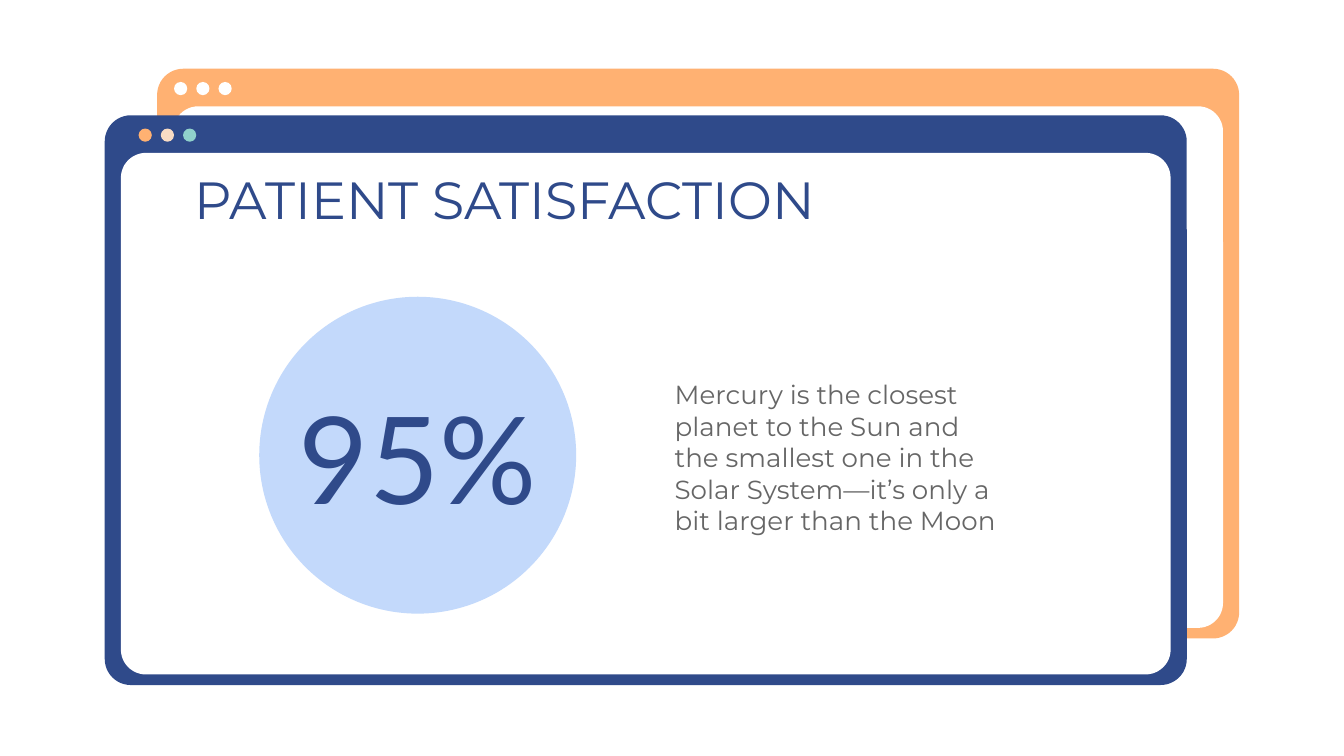
from dataclasses import dataclass

from lxml import etree
from pptx import Presentation
from pptx.dml.color import RGBColor
from pptx.enum.shapes import MSO_SHAPE
from pptx.enum.text import MSO_ANCHOR, MSO_AUTO_SIZE, PP_ALIGN
from pptx.oxml.ns import qn
from pptx.util import Cm, Pt

ROUND_RECT, OVAL = MSO_SHAPE.ROUNDED_RECTANGLE, MSO_SHAPE.OVAL
TOP, MIDDLE = MSO_ANCHOR.TOP, MSO_ANCHOR.MIDDLE
LEFT, CENTER = PP_ALIGN.LEFT, PP_ALIGN.CENTER
NO_AUTOFIT = MSO_AUTO_SIZE.NONE


@dataclass(frozen=True)
class Theme:
    white: str = "FFFFFF"
    navy: str = "2F4A8A"
    orange: str = "FFB172"
    peach: str = "F8DBC4"
    teal: str = "90D1CB"
    sky: str = "C3D9FB"
    grey: str = "666666"
    text_font: str = "Montserrat"
    number_font: str = "Lato"
    title_size: int = 28
    number_size: int = 65
    body_size: int = 14


@dataclass(frozen=True)
class Box:
    x: float
    y: float
    w: float
    h: float


@dataclass(frozen=True)
class Window:
    x: float
    y: float
    frame: str
    dot_offset: float
    dots: tuple[str, ...]


@dataclass(frozen=True)
class TextStyle:
    font: str
    size: int
    color: str
    align: PP_ALIGN = LEFT
    anchor: MSO_ANCHOR = TOP


THEME = Theme()
FRAME_W, FRAME_H = 20.45, 10.77
PANE_W, PANE_H = 19.84, 9.86
PANE_TOP = 0.71
DOT_SIZE, DOT_PITCH, DOT_TOP = 0.25, 0.42, 0.25

WINDOWS = (
    Window(2.97, 1.3, THEME.orange, 0.32, (THEME.white,) * 3),
    Window(1.98, 2.18, THEME.navy, 0.64, (THEME.orange, THEME.peach, THEME.teal)),
)
TEXTS = (
    ("PATIENT SATISFACTION", Box(3.43, 2.92, 18.69, 1.3),
     TextStyle(THEME.text_font, THEME.title_size, THEME.navy)),
    ("95%", Box(4.9, 6.91, 5.99, 3.43),
     TextStyle(THEME.number_font, THEME.number_size, THEME.navy, CENTER, MIDDLE)),
    ("Mercury is the closest planet to the Sun and the smallest one in the "
     "Solar System—it’s only a bit larger than the Moon", Box(12.5, 6.91, 6.65, 3.43),
     TextStyle(THEME.text_font, THEME.body_size, THEME.grey)),
)


def add_shape(s, kind: MSO_SHAPE, box: Box, color: str, radius: float | None = None) -> None:
    sp = s.shapes.add_shape(kind, Cm(box.x), Cm(box.y), Cm(box.w), Cm(box.h))
    sp.shadow.inherit = False
    sp.fill.solid()
    sp.fill.fore_color.rgb = RGBColor.from_string(color)
    sp.line.fill.background()
    if radius is not None:
        sp.adjustments[0] = radius


def draw_window(s, win: Window) -> None:
    add_shape(s, ROUND_RECT, Box(win.x, win.y, FRAME_W, FRAME_H), win.frame, 0.046)
    pane = Box(win.x + (FRAME_W - PANE_W) / 2, win.y + PANE_TOP, PANE_W, PANE_H)
    add_shape(s, ROUND_RECT, pane, THEME.white, 0.048)
    for i, color in enumerate(win.dots):
        x = win.x + win.dot_offset + i * DOT_PITCH
        add_shape(s, OVAL, Box(x, win.y + DOT_TOP, DOT_SIZE, DOT_SIZE), color)


def fill_placeholder(sp, text: str, box: Box, style: TextStyle) -> None:
    sp.left, sp.top, sp.width, sp.height = Cm(box.x), Cm(box.y), Cm(box.w), Cm(box.h)
    tf = sp.text_frame
    tf.text = text
    tf.word_wrap = True
    tf.auto_size = NO_AUTOFIT
    tf.vertical_anchor = style.anchor
    tf.margin_left = tf.margin_right = tf.margin_top = tf.margin_bottom = Cm(0.25)
    p = tf.paragraphs[0]
    pPr = p._p.get_or_add_pPr()
    pPr.set("marL", "0")
    pPr.set("indent", "0")
    etree.SubElement(pPr, qn("a:buNone"))
    p.alignment = style.align
    p.space_before = Pt(0)
    r = p.runs[0]
    r.font.name = style.font
    r.font.size = Pt(style.size)
    r.font.color.rgb = RGBColor.from_string(style.color)
    sp.element.getparent().append(sp.element)


def main() -> None:
    prs = Presentation()
    prs.slide_width, prs.slide_height = Cm(25.4), Cm(14.29)
    s = prs.slides.add_slide(prs.slide_layouts.get_by_name("Two Content"))
    for win in WINDOWS:
        draw_window(s, win)
    add_shape(s, OVAL, Box(4.9, 5.61, 5.99, 5.99), THEME.sky)
    for sp, (text, box, style) in zip(list(s.placeholders), TEXTS):
        fill_placeholder(sp, text, box, style)
    prs.save("out.pptx")


if __name__ == "__main__":
    main()
